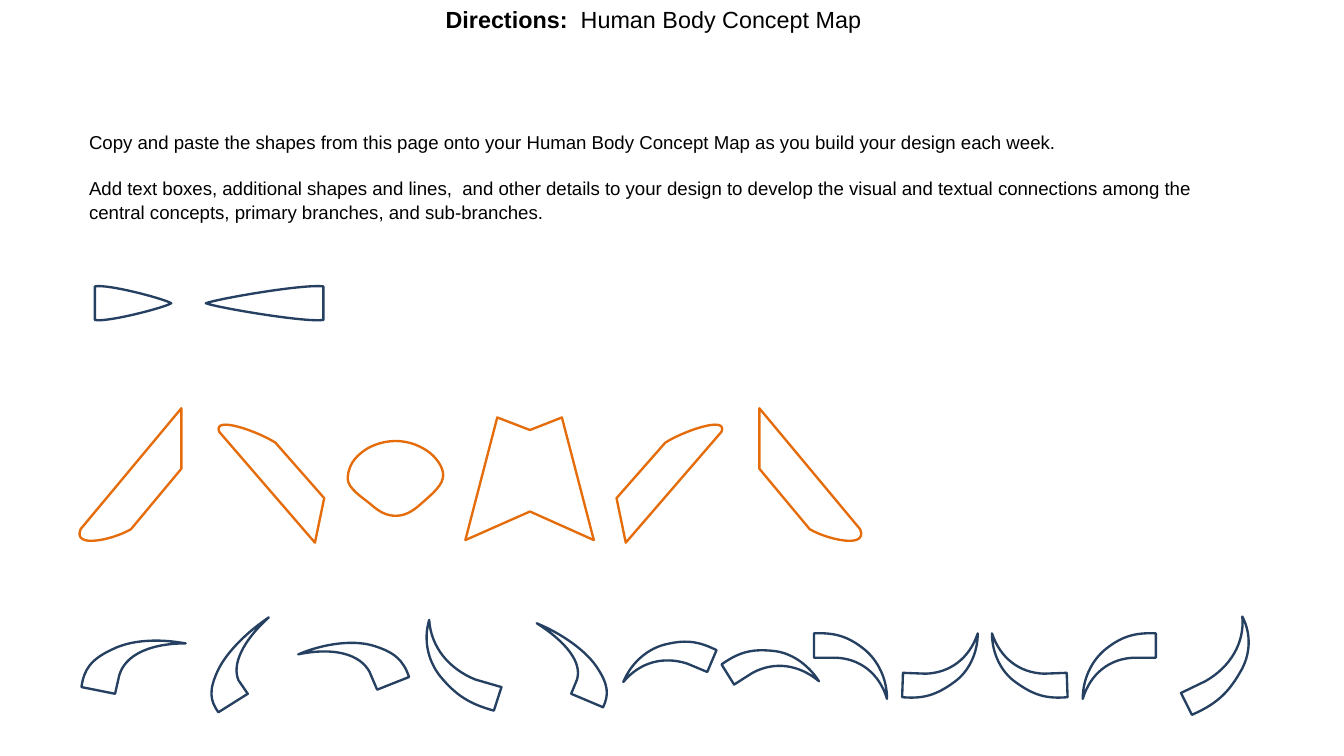
import pptx
import pptx.util
import pptx.dml.color
import pptx.enum.text
import pptx.oxml
import pptx.oxml.ns

COLORS = {"text": "000000", "organ": "E46C0A", "branch": "254061"}
FONT = "Arial"
LINE_SPACING = 1.05

TITLE = [("Directions:", True), ("  Human Body Concept Map", False)]
DIRECTIONS = [
    "Copy and paste the shapes from this page onto your Human Body Concept Map as you build your design each week.",
    "Add text boxes, additional shapes and lines,  and other details to your design to develop the visual and "
    "textual connections among the central concepts, primary branches, and sub-branches.",
]

# An outline is a start point, then one point per line or three points per curve.
LOBE = [
    [(4.14, 5.7)],
    [(4.14, 5.59), (4.19, 5.48), (4.29, 5.4)],
    [(4.39, 5.31), (4.55, 5.25), (4.71, 5.25)],
    [(4.87, 5.25), (5.02, 5.31), (5.13, 5.4)],
    [(5.22, 5.48), (5.3, 5.6), (5.27, 5.7)],
    [(5.25, 5.8), (5.1, 5.92), (5.01, 6)],
    [(4.9, 6.1), (4.81, 6.14), (4.71, 6.14)],
    [(4.61, 6.14), (4.52, 6.1), (4.41, 6)],
    [(4.31, 5.92), (4.14, 5.81), (4.14, 5.7)],
]
TORSO = [[(5.54, 6.43)], [(5.92, 4.97)], [(6.31, 5.12)], [(6.69, 4.97)], [(7.07, 6.43)], [(6.31, 6.09)]]
ARM = [[(7.34, 5.93)], [(7.92, 5.27)], [(8.12, 5.14), (8.67, 4.94), (8.59, 5.14)], [(7.45, 6.46)]]
LEG = [[(1.56, 6.3)], [(2.16, 5.58)], [(2.16, 4.86)], [(0.96, 6.3)],
       [(0.86, 6.54), (1.36, 6.42), (1.56, 6.3)]]
SPIKES = [
    [[(1.13, 3.81)], [(1.28, 3.84), (1.97, 3.66), (2.04, 3.61)],
     [(1.93, 3.55), (1.28, 3.38), (1.13, 3.41)]],
    [[(3.85, 3.81)], [(3.62, 3.84), (2.57, 3.66), (2.45, 3.61)],
     [(2.63, 3.55), (3.62, 3.38), (3.85, 3.41)]],
]

# A horn has two base corners, two outer curves up to its tip and one inner curve.
PAIRED_HORNS = [
    [(9.69, 7.83), (9.69, 7.54), (9.93, 7.53), (10.09, 7.57), (10.29, 7.73),
     (10.46, 7.87), (10.56, 8.09), (10.56, 8.32), (10.47, 8.02), (10.24, 7.84), (9.95, 7.83)],
    [(10.75, 8.01), (10.74, 8.3), (10.99, 8.32), (11.14, 8.28), (11.36, 8.12),
     (11.53, 8), (11.64, 7.78), (11.64, 7.54), (11.54, 7.84), (11.31, 8.01), (11.02, 8.02)],
]
SINGLE_HORNS = [
    [(1.37, 8.26), (0.97, 8.18), (1, 7.97), (1.08, 7.85), (1.34, 7.73),
     (1.56, 7.62), (1.88, 7.6), (2.21, 7.66), (1.78, 7.66), (1.49, 7.8), (1.42, 8.04)],
    [(2.95, 8.26), (2.6, 8.48), (2.5, 8.34), (2.48, 8.22), (2.6, 7.97),
     (2.7, 7.77), (2.92, 7.54), (3.2, 7.35), (2.88, 7.64), (2.76, 7.92), (2.84, 8.1)],
    [(4.49, 8.21), (4.87, 8.06), (4.8, 7.86), (4.7, 7.76), (4.42, 7.68),
     (4.19, 7.62), (3.86, 7.66), (3.55, 7.79), (3.98, 7.7), (4.29, 7.79), (4.4, 8)],
    [(5.97, 8.18), (5.88, 8.46), (5.59, 8.38), (5.43, 8.28), (5.24, 8.05),
     (5.09, 7.86), (5.04, 7.61), (5.11, 7.38), (5.13, 7.7), (5.34, 7.96), (5.66, 8.09)],
    [(6.8, 8.26), (7.18, 8.42), (7.25, 8.27), (7.25, 8.15), (7.09, 7.92),
     (6.96, 7.74), (6.7, 7.55), (6.39, 7.42), (6.75, 7.65), (6.93, 7.89), (6.87, 8.09)],
    [(8.42, 8), (8.53, 7.74), (8.31, 7.63), (8.15, 7.61), (7.89, 7.68),
     (7.69, 7.74), (7.51, 7.9), (7.42, 8.12), (7.62, 7.88), (7.9, 7.81), (8.18, 7.9)],
    [(8.74, 8.15), (8.59, 7.91), (8.79, 7.77), (8.94, 7.72), (9.21, 7.75),
     (9.42, 7.77), (9.62, 7.91), (9.75, 8.11), (9.51, 7.91), (9.22, 7.87), (8.96, 8.01)],
    [(14.06, 8.25), (14.19, 8.51), (14.46, 8.39), (14.61, 8.27), (14.76, 8.01),
     (14.89, 7.8), (14.9, 7.55), (14.79, 7.34), (14.82, 7.65), (14.65, 7.94), (14.35, 8.11)],
]
ORGAN_MIRROR = 11.2
HORN_MIRROR = 23.45


def mirrored(outline, mirror):
    return [[(mirror - x, y) for x, y in segment] for segment in outline]


def horn_outline(points):
    return [points[:1], points[1:2]] + [points[i:i + 3] for i in (2, 5, 8)]


def draw_outline(slide, outline, color):
    (start,), *segments = outline
    corners = [tuple(map(pptx.util.Inches, point)) for segment in segments for point in segment]
    builder = slide.shapes.build_freeform(*map(pptx.util.Inches, start))
    builder.add_line_segments(corners, close=True)
    figure = builder.convert_to_shape()
    steps = iter(figure.element.xpath(".//a:lnTo"))
    for segment in segments:
        parts = [next(steps) for _ in segment]
        if len(parts) == 3:
            curve = pptx.oxml.parse_xml(f'<a:cubicBezTo {pptx.oxml.ns.nsdecls("a")}/>')
            parts[0].addprevious(curve)
            for part in parts:
                curve.append(part[0])
                part.getparent().remove(part)
    figure.shadow.inherit = False
    figure.fill.background()
    figure.line.color.rgb = pptx.dml.color.RGBColor.from_string(COLORS[color])
    figure.line.width = pptx.util.Pt(2)


def place(placeholder, left, top, width, height):
    placeholder.left, placeholder.top = pptx.util.Inches(left), pptx.util.Inches(top)
    placeholder.width, placeholder.height = pptx.util.Inches(width), pptx.util.Inches(height)
    frame = placeholder.text_frame
    frame.word_wrap = True
    frame.auto_size = pptx.enum.text.MSO_AUTO_SIZE.NONE
    frame.vertical_anchor = pptx.enum.text.MSO_ANCHOR.TOP
    return frame


def format_run(run, size, bold=False):
    run.font.name = FONT
    run.font.size = pptx.util.Pt(size)
    run.font.bold = bold
    run.font.color.rgb = pptx.dml.color.RGBColor.from_string(COLORS["text"])


def main():
    deck = pptx.Presentation()
    deck.slide_width, deck.slide_height = pptx.util.Inches(16), pptx.util.Inches(9)
    slide = deck.slides.add_slide(deck.slide_layouts[1])

    heading = place(slide.shapes.title, 0.98, 0, 13.6, 1.08).paragraphs[0]
    heading.alignment = pptx.enum.text.PP_ALIGN.CENTER
    heading.line_spacing = LINE_SPACING
    for words, bold in TITLE:
        run = heading.add_run()
        run.text = words
        format_run(run, 20, bold)

    directions = place(slide.placeholders[1], 0.96, 1.5, 14.04, 1.17)
    directions.text = "\n".join(DIRECTIONS)
    for paragraph in directions.paragraphs:
        paragraph.line_spacing = LINE_SPACING
        paragraph.space_before = pptx.util.Pt(0)
        format_run(paragraph.runs[0], 16)
        properties = paragraph._p.get_or_add_pPr()
        properties.set("marL", "0")
        properties.set("indent", "0")
        properties.append(pptx.oxml.parse_xml(f'<a:buNone {pptx.oxml.ns.nsdecls("a")}/>'))
    directions.paragraphs[1].space_before = pptx.util.Pt(19)

    organs = [LOBE, TORSO]
    for limb in (ARM, LEG):
        organs += [limb, mirrored(limb, ORGAN_MIRROR)]
    branches = SPIKES + [horn_outline(points) for points in SINGLE_HORNS]
    for horn in map(horn_outline, PAIRED_HORNS):
        branches += [horn, mirrored(horn, HORN_MIRROR)]
    for color, outlines in (("organ", organs), ("branch", branches)):
        for outline in outlines:
            draw_outline(slide, outline, color)

    deck.save("out.pptx")


if __name__ == "__main__":
    main()
